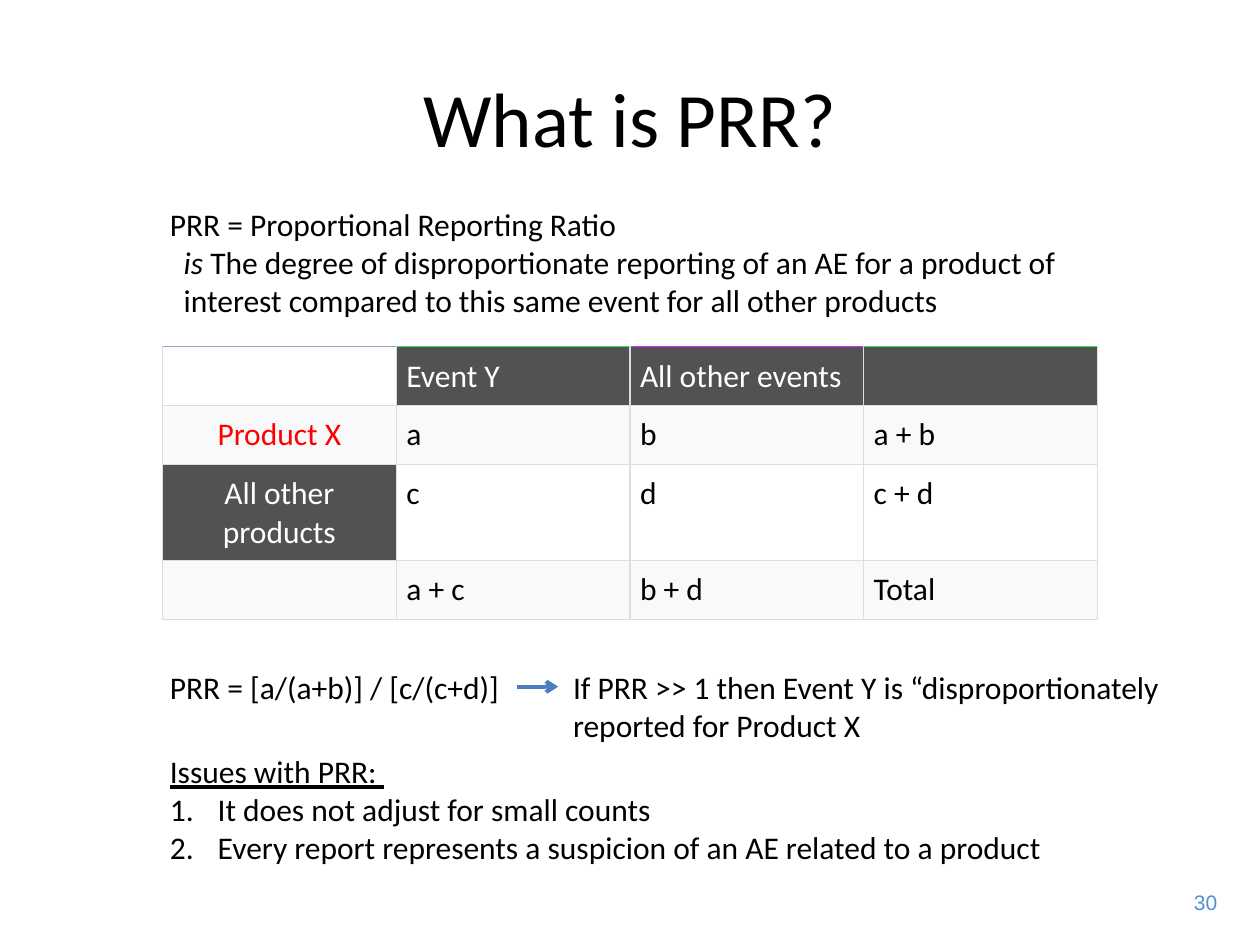
from lxml.etree import SubElement
from pptx import Presentation
from pptx.dml.color import RGBColor
from pptx.enum.shapes import MSO_CONNECTOR
from pptx.enum.text import MSO_ANCHOR, MSO_AUTO_SIZE, PP_ALIGN
from pptx.oxml import parse_xml
from pptx.oxml.ns import nsdecls, qn
from pptx.util import Inches, Pt

HUES = {
    "ink": "000000", "white": "FFFFFF", "red": "FF0000", "dark": "525252",
    "pale": "F9F9F9", "rule": "DDDDDD", "arrow": "4B7EBC", "page": "558ED5",
    "violet": "A09FCB", "green": "30E655", "pink": "E02BFF",
}


def color(name):
    return RGBColor.from_string(HUES[name])


def add_run(para, text, size=18, hue="ink", face="Calibri", italic=False, under=False):
    run = para.add_run()
    run.text = text
    font = run.font
    font.size, font.name = Pt(size), face
    font.italic, font.underline = italic, under
    font.color.rgb = color(hue)


def add_box(slide, left, top, width, height, grow=True):
    box = slide.shapes.add_textbox(Inches(left), Inches(top), Inches(width), Inches(height))
    frame = box.text_frame
    frame.word_wrap = not grow
    frame.auto_size = MSO_AUTO_SIZE.SHAPE_TO_FIT_TEXT if grow else MSO_AUTO_SIZE.NONE
    return box


def add_lines(frame, lines):
    """Each line is a list of (text, style) runs."""
    for i, runs in enumerate(lines):
        para = frame.paragraphs[0] if i == 0 else frame.add_paragraph()
        for text, style in runs:
            add_run(para, text, **style)
    return frame.paragraphs


def indent(para, left, hang=0.0, number=False):
    props = para._p.get_or_add_pPr()
    props.set("marL", str(Inches(left)))
    props.set("indent", str(Inches(-hang)))
    if number:
        SubElement(props, qn("a:buFont"), typeface="+mj-lt")
        SubElement(props, qn("a:buAutoNum"), type="arabicPeriod")


def add_title(slide, left, top, width, height):
    frame = add_box(slide, left, top, width, height, grow=False).text_frame
    frame.vertical_anchor = MSO_ANCHOR.MIDDLE
    para = add_lines(frame, [[("What is PRR?", {"size": 44})]])[0]
    para.alignment = PP_ALIGN.CENTER


def add_meaning(slide, left, top, width, height):
    frame = add_box(slide, left, top, width, height).text_frame
    paras = add_lines(frame, [
        [("PRR = Proportional Reporting Ratio", {})],
        [("is", {"italic": True}),
         (" The degree of disproportionate reporting of an AE for a product of", {})],
        [("interest compared to this same event for all other products", {})],
    ])
    for para in paras[1:]:
        indent(para, 0.11)


def set_edges(cell, top):
    props = cell._tc.get_or_add_tcPr()
    for i, side in enumerate(("L", "R", "T", "B")):
        hue = HUES[top if side == "T" else "rule"]
        props.insert(i, parse_xml(
            f'<a:ln{side} {nsdecls("a")} w="{Pt(0.75)}"><a:solidFill>'
            f'<a:srgbClr val="{hue}"/></a:solidFill></a:ln{side}>'))


def add_grid(slide, left, top, width, height):
    rows = [
        ["", "Event Y", "All other events", ""],
        ["Product X", "a", "b", "a + b"],
        ["All other products", "c", "d", "c + d"],
        ["", "a + c", "b + d", "Total"],
    ]
    tops = ["violet", "green", "pink", "green"]
    dark = {(0, 1), (0, 2), (0, 3), (2, 0)}
    tall = 0.76  # the row whose label takes two lines
    table = slide.shapes.add_table(
        4, 4, Inches(left), Inches(top), Inches(width), Inches(height)).table
    for r, row in enumerate(rows):
        table.rows[r].height = Inches(tall if r == 2 else (height - tall) / 3)
        for c, text in enumerate(row):
            cell = table.cell(r, c)
            cell.margin_left = cell.margin_right = Inches(0.08)
            cell.margin_top = cell.margin_bottom = Inches(0.08)
            cell.vertical_anchor = MSO_ANCHOR.BOTTOM if r == 0 else MSO_ANCHOR.TOP
            back = "dark" if (r, c) in dark else "pale" if r % 2 else "white"
            cell.fill.solid()
            cell.fill.fore_color.rgb = color(back)
            set_edges(cell, tops[c] if r == 0 else "rule")
            para = cell.text_frame.paragraphs[0]
            para.alignment = PP_ALIGN.CENTER if c == 0 else PP_ALIGN.LEFT
            if text:
                hue = "white" if back == "dark" else "red" if c == 0 else "ink"
                add_run(para, text, hue=hue)


def add_rule(slide, left, top, width, height):
    # Formula, arrow and reading, side by side
    formula = add_box(slide, left, top, 2.85, 0.4)
    add_lines(formula.text_frame, [[("PRR = [a/(a+b)] / [c/(c+d)]", {})]])
    start = 3.2
    reading = add_box(slide, left + start, top, width - start, height)
    add_lines(reading.text_frame, [
        [("If PRR >> 1 then Event Y is “disproportionately", {})],
        [("reported for Product X", {})],
    ])
    mid = Inches(top + 0.2)
    arrow = slide.shapes.add_connector(
        MSO_CONNECTOR.STRAIGHT, Inches(left + 2.85), mid, Inches(left + 3.18), mid)
    arrow.begin_connect(formula, 3)
    arrow.line.width = Pt(2.25)
    arrow.line.color.rgb = color("arrow")
    SubElement(arrow.line._get_or_add_ln(), qn("a:tailEnd"), type="arrow")
    SubElement(arrow._element.spPr, qn("a:effectLst"))


def add_issues(slide, left, top, width, height):
    frame = add_box(slide, left, top, width, height).text_frame
    paras = add_lines(frame, [
        [("Issues with PRR: ", {"under": True})],
        [("It does not adjust for small counts", {})],
        [("Every report represents a suspicion of an AE related to a product", {})],
    ])
    for para in paras[1:]:
        indent(para, 0.38, 0.38, number=True)


def add_page(slide, left, top, width, height):
    frame = add_box(slide, left, top, width, height).text_frame
    style = {"size": 12, "hue": "page", "face": "Arial"}
    add_lines(frame, [[("30", style)]])[0].alignment = PP_ALIGN.RIGHT


def main():
    deck = Presentation()
    deck.slide_width, deck.slide_height = Inches(10), Inches(7.5)
    slide = deck.slides.add_slide(deck.slide_layouts[6])
    add_page(slide, 9.35, 7.01, 0.41, 0.3)
    add_title(slide, 0.5, 0.3, 9, 1.25)
    add_meaning(slide, 1.25, 1.58, 7.33, 1.01)
    add_grid(slide, 1.29, 2.75, 7.42, 2.17)
    add_rule(slide, 1.25, 5.25, 8.17, 0.71)
    add_issues(slide, 1.25, 5.92, 7.13, 1.01)
    deck.save("out.pptx")


if __name__ == "__main__":
    main()
